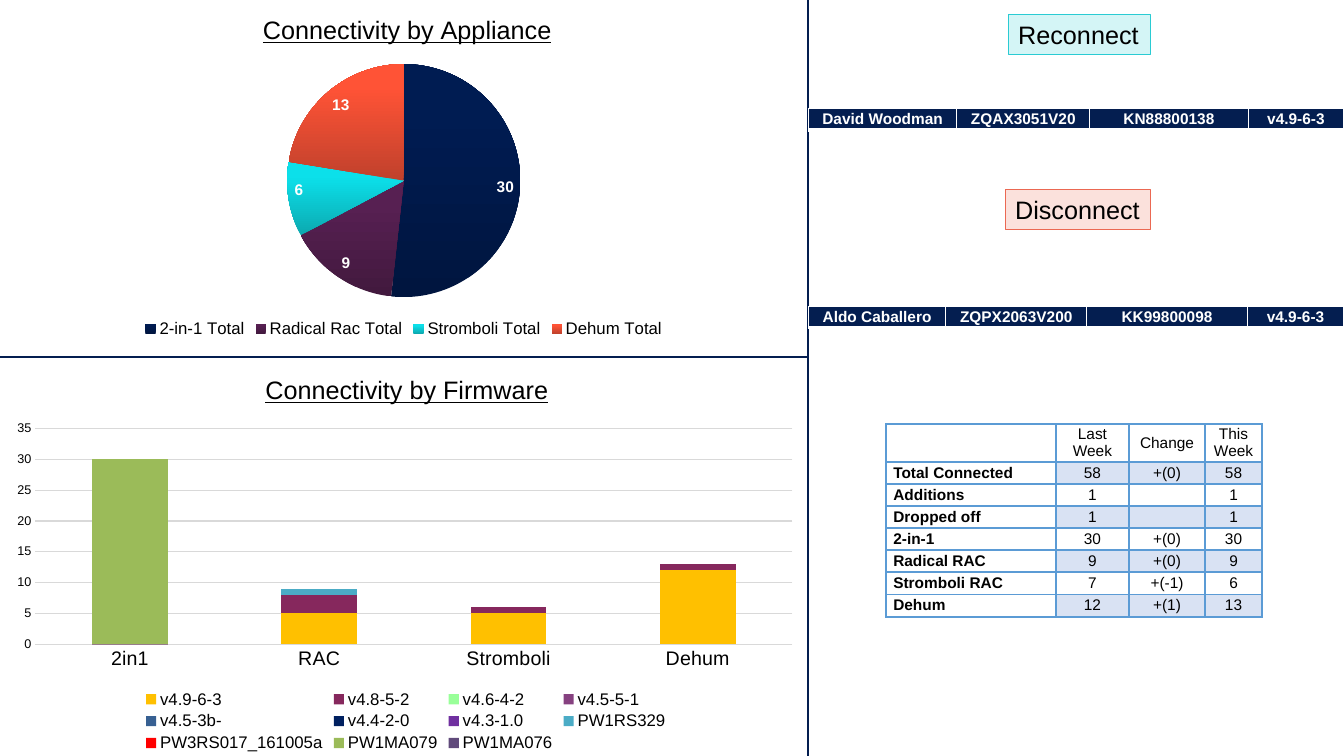
from dataclasses import dataclass
from typing import Any, Optional

from lxml import etree
from pptx import Presentation
from pptx import util as u
from pptx.chart.data import CategoryChartData
from pptx.dml.color import RGBColor
from pptx.enum import chart as ch, shapes, text
from pptx.oxml.ns import qn

PX = 9144  # 100 px to the inch
FONT = "Arial"
BLACK = RGBColor(0, 0, 0)
WHITE = RGBColor(255, 255, 255)
NAVY = RGBColor(0x04, 0x1E, 0x50)
GRID = RGBColor(0xD9, 0xD9, 0xD9)
BAND = RGBColor(0xD9, 0xE2, 0xF3)
BORDER = RGBColor(0x5B, 0x9B, 0xD5)
EDGES = ("L", "R", "T", "B")
CENTER = text.PP_ALIGN.CENTER


@dataclass(frozen=True)
class Badge:
    label: str
    box: tuple[int, int, int, int]
    fill: RGBColor
    line: RGBColor


@dataclass(frozen=True)
class Unit:
    """One appliance in a navy strip."""
    top: int
    widths: tuple[int, ...]
    fields: tuple[str, ...]


@dataclass(frozen=True)
class Slice:
    name: str
    count: int
    dark: RGBColor
    light: RGBColor


@dataclass(frozen=True)
class Firmware:
    name: str
    counts: tuple[int, ...]
    color: RGBColor


BADGES = (
    Badge("Reconnect", (1000, 14, 141, 40), RGBColor(0xD4, 0xF5, 0xF6), RGBColor(0x2A, 0xCB, 0xD3)),
    Badge("Disconnect", (997, 188, 144, 40), RGBColor(0xFB, 0xE1, 0xDC), RGBColor(0xEB, 0x68, 0x52)),
)
DIVIDERS = ((0, 354, 801, 354), (801, 354, 801, 0), (801, 354, 801, 750))
UNITS = (
    Unit(108, (147, 132, 157, 95), ("David Woodman", "ZQAX3051V20", "KN88800138", "v4.9-6-3")),
    Unit(304, (136, 140, 159, 96), ("Aldo Caballero", "ZQPX2063V200", "KK99800098", "v4.9-6-3")),
)
SUMMARY = (
    ("", "Last Week", "Change", "This Week"),
    ("Total Connected", "58", "+(0)", "58"),
    ("Additions", "1", "", "1"),
    ("Dropped off", "1", "", "1"),
    ("2-in-1", "30", "+(0)", "30"),
    ("Radical RAC", "9", "+(0)", "9"),
    ("Stromboli RAC", "7", "+(-1)", "6"),
    ("Dehum", "12", "+(1)", "13"),
)
SLICES = (
    Slice("2-in-1 Total", 30, RGBColor(0x00, 0x15, 0x3F), RGBColor(0x00, 0x1C, 0x52)),
    Slice("Radical Rac Total", 9, RGBColor(0x42, 0x19, 0x3E), RGBColor(0x57, 0x20, 0x52)),
    Slice("Stromboli Total", 6, RGBColor(0x0C, 0xA9, 0xB0), RGBColor(0x0C, 0xE0, 0xEA)),
    Slice("Dehum Total", 13, RGBColor(0xC0, 0x41, 0x2C), RGBColor(0xFF, 0x53, 0x36)),
)
FIRMWARES = (
    Firmware("v4.9-6-3", (0, 5, 5, 12), RGBColor(0xFF, 0xC0, 0x00)),
    Firmware("v4.8-5-2", (0, 3, 1, 1), RGBColor(0x86, 0x28, 0x5D)),
    Firmware("v4.6-4-2", (0, 0, 0, 0), RGBColor(0x99, 0xFF, 0x99)),
    Firmware("v4.5-5-1", (0, 0, 0, 0), RGBColor(0x86, 0x41, 0x80)),
    Firmware("v4.5-3b-", (0, 0, 0, 0), RGBColor(0x37, 0x60, 0x92)),
    Firmware("v4.4-2-0", (0, 0, 0, 0), RGBColor(0x00, 0x20, 0x60)),
    Firmware("v4.3-1.0", (0, 0, 0, 0), RGBColor(0x70, 0x30, 0xA0)),
    Firmware("PW1RS329", (0, 1, 0, 0), RGBColor(0x4B, 0xAC, 0xC6)),
    Firmware("PW3RS017_161005a", (0, 0, 0, 0), RGBColor(0xFF, 0x00, 0x00)),
    Firmware("PW1MA079", (30, 0, 0, 0), RGBColor(0x9B, 0xBB, 0x59)),
    Firmware("PW1MA076", (0, 0, 0, 0), RGBColor(0x60, 0x4A, 0x7B)),
)


def emu(*lengths: int) -> list[u.Emu]:
    return [u.Emu(length * PX) for length in lengths]


def style_font(font: Any, size: int, color: RGBColor = BLACK, bold: bool = False) -> None:
    font.name, font.size, font.bold = FONT, u.Pt(size), bold
    font.color.rgb = color


def write(frame: Any, words: str, *, size: int, color: RGBColor = BLACK, bold: bool = False,
          underline: Optional[bool] = None, align: Any = None) -> None:
    paragraph = frame.paragraphs[0]
    if align is not None:
        paragraph.alignment = align
    if not words:  # keeps an empty cell from growing its row
        etree.SubElement(paragraph._p, qn("a:endParaRPr"), sz=str(size * 100))
        return
    run = paragraph.add_run()
    run.text = words
    style_font(run.font, size, color, bold)
    run.font.underline = underline


def add_badge(slide: Any, badge: Badge) -> None:
    shape = slide.shapes.add_shape(shapes.MSO_SHAPE.RECTANGLE, *emu(*badge.box))
    shape.shadow.inherit = False
    shape.fill.solid()
    shape.fill.fore_color.rgb = badge.fill
    shape.line.color.rgb = badge.line
    shape.line.width = u.Pt(0.5)
    shape.text_frame.word_wrap = False
    shape.text_frame.auto_size = text.MSO_AUTO_SIZE.SHAPE_TO_FIT_TEXT
    write(shape.text_frame, badge.label, size=18, align=text.PP_ALIGN.LEFT)


def add_divider(slide: Any, ends: tuple[int, int, int, int]) -> None:
    divider = slide.shapes.add_connector(shapes.MSO_CONNECTOR.STRAIGHT, *emu(*ends))
    divider.line.color.rgb = NAVY
    divider.line.width = u.Pt(1.5)
    etree.SubElement(divider.element.spPr, qn("a:effectLst"))


def add_grid(slide: Any, left: int, top: int, widths: tuple[int, ...], heights: tuple[int, ...]) -> Any:
    frame = slide.shapes.add_table(len(heights), len(widths),
                                   *emu(left, top, sum(widths), sum(heights)))
    grid = frame.table
    grid.first_row = grid.horz_banding = False
    for column, width in zip(grid.columns, emu(*widths)):
        column.width = width
    for row, height in zip(grid.rows, emu(*heights)):
        row.height = height
    return grid


def fill_cell(cell: Any, words: str, *, fill: Optional[RGBColor], border: RGBColor,
              weights: tuple[float, ...], **style: Any) -> None:
    """Format one cell; weights are border points in EDGES order."""
    properties = cell._tc.get_or_add_tcPr()
    for edge, weight in zip(EDGES, weights):
        line = etree.SubElement(properties, qn(f"a:ln{edge}"), w=str(u.Pt(weight)))
        solid = etree.SubElement(line, qn("a:solidFill"))
        etree.SubElement(solid, qn("a:srgbClr"), val=str(border))
    if fill is None:
        cell.fill.background()
    else:
        cell.fill.solid()
        cell.fill.fore_color.rgb = fill
    cell.margin_left, cell.margin_right, cell.margin_top, cell.margin_bottom = emu(7, 7, 0, 0)
    cell.vertical_anchor = text.MSO_ANCHOR.MIDDLE
    write(cell.text_frame, words, size=11, **style)


def add_summary(slide: Any) -> None:
    grid = add_grid(slide, 879, 421, (168, 73, 75, 57), (37,) + (22,) * 7)
    for r, row in enumerate(SUMMARY):
        for c, words in enumerate(row):
            fill = WHITE if r == 0 or c == 0 else BAND if r % 2 else None
            fill_cell(grid.cell(r, c), words, fill=fill, border=BORDER, weights=(1.5,) * 4,
                      bold=c == 0, align=CENTER if c else text.PP_ALIGN.LEFT)


def add_unit(slide: Any, unit: Unit) -> None:
    grid = add_grid(slide, 802, unit.top, unit.widths, (21,))
    for c, words in enumerate(unit.fields):
        fill_cell(grid.cell(0, c), words, fill=NAVY, border=WHITE, weights=(1, 1, 1, 3),
                  color=WHITE, bold=True, align=CENTER)


def place(parent: Any, **fractions: float) -> None:
    """Position a chart part by fractions of the chart's size."""
    layout = parent.find(qn("c:layout"))
    if layout is None:
        layout = etree.Element(qn("c:layout"))
        parent.insert(0, layout)
    manual = etree.SubElement(layout, qn("c:manualLayout"))
    if "w" in fractions:
        etree.SubElement(manual, qn("c:layoutTarget"), val="inner")
    for key in ("x", "y"):
        etree.SubElement(manual, qn(f"c:{key}Mode"), val="edge")
    for key, value in fractions.items():
        etree.SubElement(manual, qn(f"c:{key}"), val=str(value))


def add_titled_chart(slide: Any, kind: Any, box: tuple[int, int, int, int], data: CategoryChartData,
                     title: str, plot_at: dict[str, float]) -> Any:
    chart = slide.shapes.add_chart(kind, *emu(*box), data).chart
    style_font(chart.font, 10)
    chart.has_title = chart.has_legend = True
    write(chart.chart_title.text_frame, title, size=18, underline=True)
    place(chart.chart_title.element, x=0.32, y=0.03)
    place(chart.element.find(".//" + qn("c:plotArea")), **plot_at)
    chart.legend.position = ch.XL_LEGEND_POSITION.BOTTOM
    chart.legend.include_in_layout = False
    style_font(chart.legend.font, 12)
    return chart


def add_appliance_pie(slide: Any) -> None:
    data = CategoryChartData()
    data.categories = [part.name for part in SLICES]
    data.add_series("Series 1", [part.count for part in SLICES])
    chart = add_titled_chart(slide, ch.XL_CHART_TYPE.PIE, (0, -1, 801, 340), data,
                             "Connectivity by Appliance",
                             {"x": 0.35, "y": 0.19, "w": 0.3, "h": 0.68})
    plot = chart.plots[0]
    plot.vary_by_categories = True
    for i, part in enumerate(SLICES):
        fill = plot.series[0].points[i].format.fill
        fill.gradient()
        fill.gradient_angle = 90
        for stop, position, color in zip(fill.gradient_stops, (0, 0.8), (part.dark, part.light)):
            stop.position = position
            stop.color.rgb = color
    plot.has_data_labels = True
    plot.data_labels.show_value = True
    plot.data_labels.position = ch.XL_LABEL_POSITION.INSIDE_END
    style_font(plot.data_labels.font, 11, WHITE, True)


def add_firmware_columns(slide: Any) -> None:
    data = CategoryChartData()
    data.categories = ["2in1", "RAC", "Stromboli", "Dehum"]
    for firmware in FIRMWARES:
        data.add_series(firmware.name, firmware.counts)
    chart = add_titled_chart(slide, ch.XL_CHART_TYPE.COLUMN_STACKED, (3, 354, 799, 396), data,
                             "Connectivity by Firmware",
                             {"x": 0.04, "y": 0.18, "w": 0.94, "h": 0.54})
    plot = chart.plots[0]
    plot.vary_by_categories = False
    plot.gap_width, plot.overlap = 150, 100
    for series, firmware in zip(plot.series, FIRMWARES):
        series.format.fill.solid()
        series.format.fill.fore_color.rgb = firmware.color
    categories, values = chart.category_axis, chart.value_axis
    for axis, size in ((categories, 14), (values, 9)):
        axis.major_tick_mark = axis.minor_tick_mark = ch.XL_TICK_MARK.NONE
        style_font(axis.tick_labels.font, size)
    values.minimum_scale, values.maximum_scale, values.major_unit = 0, 35, 5
    values.format.line.fill.background()
    for line in (categories.format.line, values.major_gridlines.format.line):
        line.color.rgb = GRID
        line.width = u.Pt(0.75)


def main() -> None:
    deck = Presentation()
    deck.slide_width, deck.slide_height = emu(1333, 750)
    slide = deck.slides.add_slide(deck.slide_layouts[6])
    for badge in BADGES:
        add_badge(slide, badge)
    for ends in DIVIDERS:
        add_divider(slide, ends)
    add_summary(slide)
    add_appliance_pie(slide)
    add_firmware_columns(slide)
    for unit in UNITS:
        add_unit(slide, unit)
    deck.save("out.pptx")


if __name__ == "__main__":
    main()
